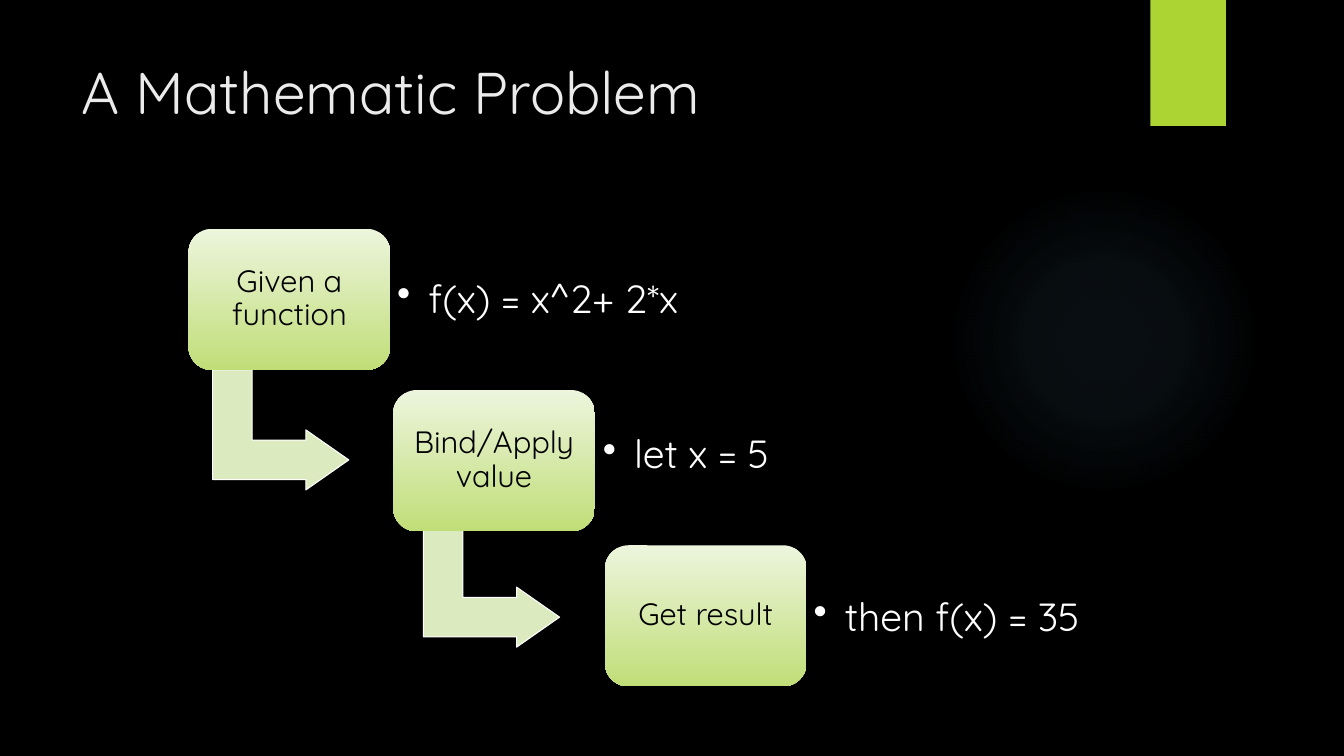
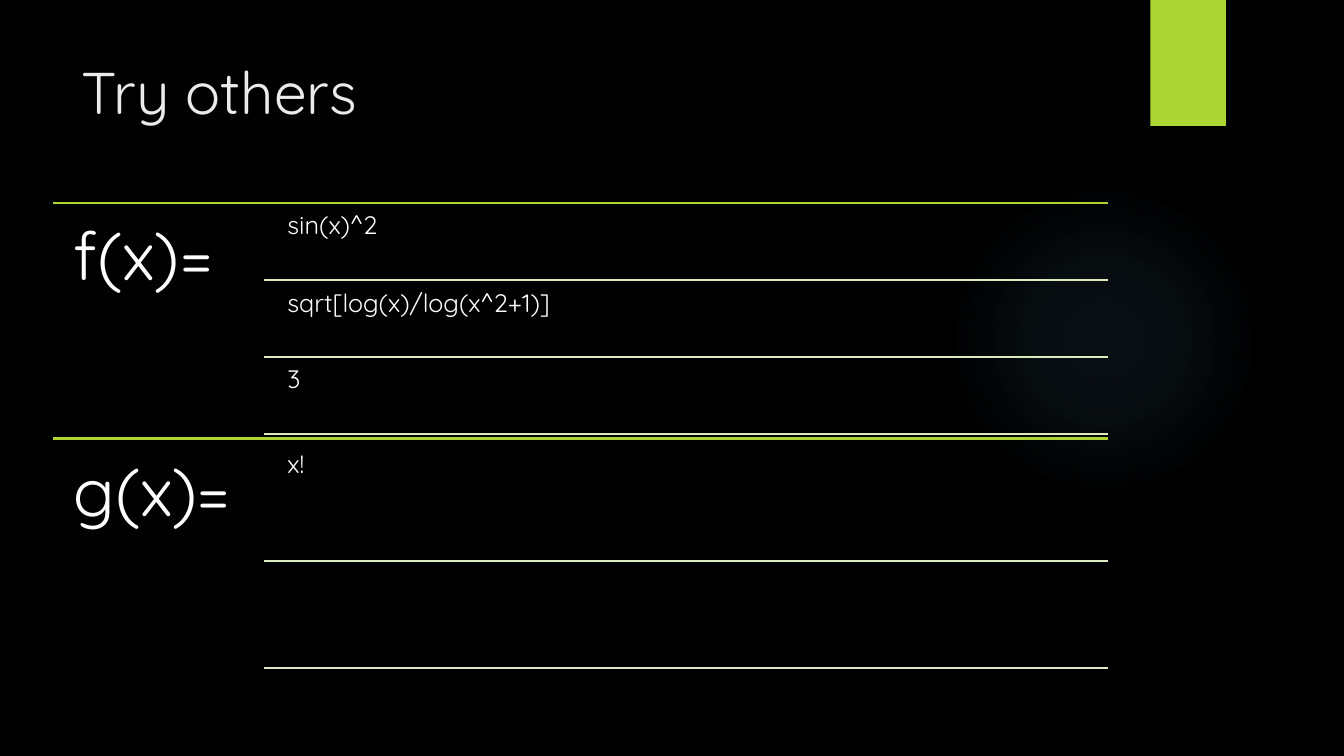
import pptx
import pptx.dml.color
import pptx.enum.shapes
import pptx.enum.text
import pptx.oxml
import pptx.oxml.ns
import pptx.util

RGB = pptx.dml.color.RGBColor
SHAPE = pptx.enum.shapes.MSO_SHAPE
ALIGN = pptx.enum.text.PP_ALIGN
ANCHOR = pptx.enum.text.MSO_ANCHOR
qn = pptx.oxml.ns.qn

PX = 9144  # 100 px to the inch
FONT = "Quicksand"
BLACK = RGB(0x00, 0x00, 0x00)
WHITE = RGB(0xFF, 0xFF, 0xFF)
TITLE_GREY = RGB(0xEB, 0xEB, 0xEB)
LIME = RGB(0xAC, 0xD4, 0x33)
PALE_LIME = RGB(0xDB, 0xEB, 0xBF)
BOX_TOP = RGB(0xED, 0xF5, 0xDD)
BOX_BOTTOM = RGB(0xC0, 0xDE, 0x78)
GLOW = RGB(0x7A, 0xC4, 0xF0)
GLOW_STOPS = [(0, 7), (36, 6), (69, 0)]  # position %, opacity %

TITLE_FRAME = (71, 50, 1029, 153)
GLOW_FRAME = (941, 183, 308, 308)
BAND_FRAME = (1141, 0, 75, 125)

BOX_SIZE = (200, 140)
ARROW_SIZE = (119, 135)
ARROW_ADJUSTMENTS = (0.328, 0.25, 0.358)
DETAIL_SIZE = (330, 113)
BULLET_INDENT = 31
# step, its detail, box corner, detail corner and inset, arrow corner
STEPS = [
    ("Given a function", "f(x) = x^2+ 2*x", (187, 227), (382, 242), 12, (219, 359)),
    ("Bind/Apply value", "let x = 5", (390, 387), (586, 396), 12, (428, 515)),
    ("Get result", "then f(x) = 35", (600, 541), (792, 557), 15, None),
]

LEFT, RULE_LEFT, ENTRY_LEFT, RIGHT = 53, 262, 278, 1099
SECTION_TOP, SECTION_HEIGHT = 201, 234
# label, gap above each row, rows as (entry, height)
SECTIONS = [
    ("f(x)=", 3, [("sin(x)^2", 74), ("sqrt[log(x)/log(x^2+1)]", 73), ("3", 74)]),
    ("g(x)=", 6, [("x!", 116), ("", 100)]),
]


def px(*lengths):
    return [pptx.util.Emu(length * PX) for length in lengths]


def write(shape, text, size, color, align=ALIGN.LEFT, anchor=ANCHOR.TOP,
          inset=None, spacing=0.9):
    frame = shape.text_frame
    frame.text = text
    frame.word_wrap = True
    frame.auto_size = pptx.enum.text.MSO_AUTO_SIZE.NONE
    frame.vertical_anchor = anchor
    if inset is not None:
        frame.margin_left, frame.margin_top, frame.margin_right, frame.margin_bottom = px(*[inset] * 4)
    paragraph = frame.paragraphs[0]
    paragraph.alignment = align
    paragraph.line_spacing = spacing
    font = paragraph.runs[0].font
    font.name, font.size, font.color.rgb = FONT, pptx.util.Pt(size), color
    return paragraph


def add_bullet(paragraph):
    properties = paragraph._p.get_or_add_pPr()
    indent = BULLET_INDENT * PX
    properties.set("marL", str(indent))
    properties.set("indent", str(-indent))
    bullet = pptx.oxml.parse_xml(f'<a:buChar {pptx.oxml.ns.nsdecls("a")} char="•"/>')
    properties.append(bullet)


def add_plain_shape(slide, kind, frame, fill=None):
    shape = slide.shapes.add_shape(kind, *px(*frame))
    shape.shadow.inherit = False
    shape.line.fill.background()
    if fill is not None:
        shape.fill.solid()
        shape.fill.fore_color.rgb = fill
    return shape


def add_rule(slide, left, y, color):
    rule = slide.shapes.add_connector(pptx.enum.shapes.MSO_CONNECTOR.STRAIGHT, *px(left, y, RIGHT, y))
    rule.line.color.rgb = color
    rule.line.width = pptx.util.Pt(1.5)
    rule.element.spPr.append(pptx.oxml.parse_xml(f'<a:effectLst {pptx.oxml.ns.nsdecls("a")}/>'))


def fill_with_glow(shape):
    shape.fill.background()
    stops = "".join(
        f'<a:gs pos="{position * 1000}"><a:srgbClr val="{GLOW}">'
        f'<a:alpha val="{opacity * 1000}"/></a:srgbClr></a:gs>'
        for position, opacity in GLOW_STOPS)
    gradient = pptx.oxml.parse_xml(
        f'<a:gradFill {pptx.oxml.ns.nsdecls("a")} rotWithShape="1"><a:gsLst>{stops}</a:gsLst>'
        '<a:path path="circle"><a:fillToRect l="50000" t="50000" r="50000" b="50000"/></a:path>'
        '</a:gradFill>')
    properties = shape.element.spPr
    properties.replace(properties.find(qn("a:noFill")), gradient)


def decorate_layout(layout, slide):
    """Draw the glow and the band on the slide, then move them behind the layout's placeholders."""
    glow = add_plain_shape(slide, SHAPE.OVAL, GLOW_FRAME)
    fill_with_glow(glow)
    band = add_plain_shape(slide, SHAPE.RECTANGLE, BAND_FRAME, LIME)
    for index, shape in enumerate((glow, band)):
        shape.element.nvSpPr.cNvPr.set("id", str(101 + index))
        layout.shapes.element.insert(2 + index, shape.element)


def add_titled_slide(prs, layout, title):
    slide = prs.slides.add_slide(layout)
    heading = slide.shapes.title
    heading.left, heading.top, heading.width, heading.height = px(*TITLE_FRAME)
    write(heading, title, 42, TITLE_GREY, spacing=1.0)
    return slide


def draw_steps(slide):
    for step, detail, box_corner, detail_corner, inset, arrow_corner in STEPS:
        if arrow_corner:
            arrow = add_plain_shape(slide, SHAPE.BENT_UP_ARROW, arrow_corner + ARROW_SIZE, PALE_LIME)
            arrow.rotation = 90
            for index, value in enumerate(ARROW_ADJUSTMENTS):
                arrow.adjustments[index] = value
            arrow.line.color.rgb = WHITE
            arrow.line.width = pptx.util.Pt(0.75)

        box = add_plain_shape(slide, SHAPE.ROUNDED_RECTANGLE, box_corner + BOX_SIZE)
        box.fill.gradient()
        box.fill.gradient_angle = 270
        for stop, color in zip(box.fill.gradient_stops, (BOX_TOP, BOX_BOTTOM)):
            stop.color.rgb = color
        write(box, step, 22, BLACK, ALIGN.CENTER, ANCHOR.MIDDLE, 9)

        detail_box = slide.shapes.add_textbox(*px(*detail_corner, *DETAIL_SIZE))
        add_bullet(write(detail_box, detail, 28, WHITE, anchor=ANCHOR.MIDDLE, inset=inset))


def draw_sections(slide):
    for index, (label, gap, rows) in enumerate(SECTIONS):
        y = SECTION_TOP + index * SECTION_HEIGHT
        add_rule(slide, LEFT, y, LIME)
        label_box = slide.shapes.add_textbox(*px(LEFT, y, RULE_LEFT - LEFT, SECTION_HEIGHT))
        write(label_box, label, 48, WHITE, inset=20)
        for entry, height in rows:
            y += gap
            if entry:
                entry_box = slide.shapes.add_textbox(*px(ENTRY_LEFT, y, RIGHT - ENTRY_LEFT, height))
                write(entry_box, entry, 18, WHITE, inset=7)
            y += height
            add_rule(slide, RULE_LEFT, y, PALE_LIME)


def main():
    prs = pptx.Presentation()
    prs.slide_width, prs.slide_height = px(1333, 750)
    background = prs.slide_master.background.fill
    background.solid()
    background.fore_color.rgb = BLACK
    layout = prs.slide_layouts.get_by_name("Title Only")

    problem = add_titled_slide(prs, layout, "A Mathematic Problem")
    decorate_layout(layout, problem)
    draw_steps(problem)
    draw_sections(add_titled_slide(prs, layout, "Try others"))
    prs.save("out.pptx")


if __name__ == "__main__":
    main()
